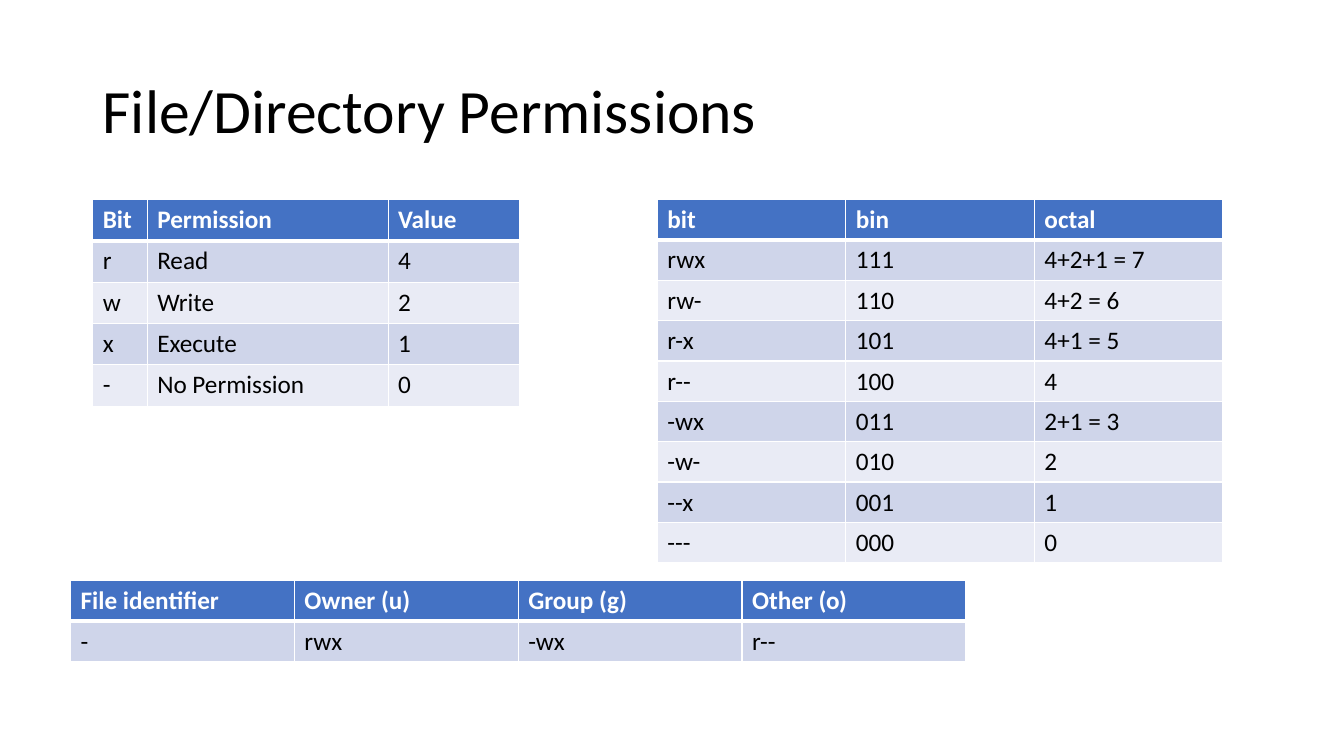
from lxml import etree
from pptx import Presentation
from pptx import util as u
from pptx.dml.color import RGBColor
from pptx.enum import text
from pptx.oxml import ns

BLACK = RGBColor(0x00, 0x00, 0x00)
WHITE = RGBColor(0xFF, 0xFF, 0xFF)
BLUE = RGBColor(0x44, 0x72, 0xC4)
BAND_DARK = RGBColor(0xCF, 0xD5, 0xEA)
BAND_LIGHT = RGBColor(0xE9, 0xEB, 0xF5)

BITS = [
    ("Bit", "Permission", "Value"),
    ("r", "Read", "4"),
    ("w", "Write", "2"),
    ("x", "Execute", "1"),
    ("-", "No Permission", "0"),
]
MODES = [
    ("bit", "bin", "octal"),
    ("rwx", "111", "4+2+1 = 7"),
    ("rw-", "110", "4+2 = 6"),
    ("r-x", "101", "4+1 = 5"),
    ("r--", "100", "4"),
    ("-wx", "011", "2+1 = 3"),
    ("-w-", "010", "2"),
    ("--x", "001", "1"),
    ("---", "000", "0"),
]
CLASSES = [
    ("File identifier", "Owner (u)", "Group (g)", "Other (o)"),
    ("-", "rwx", "-wx", "r--"),
]


class Deck:
    font = "Calibri"
    title_format = {"size": u.Pt(44), "bold": False}
    header_format = {"size": u.Pt(18), "bold": True}
    body_format = {"size": u.Pt(18), "bold": False}

    def __init__(self, width, height):
        self.prs = Presentation()
        self.prs.slide_width = u.Inches(width)
        self.prs.slide_height = u.Inches(height)
        self.s = self.prs.slides.add_slide(self.prs.slide_layouts[6])

    def add_words(self, p, words, formats, color):
        r = p.add_run()
        r.text = words
        r.font.name = self.font
        r.font.color.rgb = color
        for name, value in formats.items():
            setattr(r.font, name, value)

    def title(self, words, left, top, width, height):
        sp = self.s.shapes.add_textbox(*map(u.Inches, (left, top, width, height)))
        tf = sp.text_frame
        tf.word_wrap = True
        tf.vertical_anchor = text.MSO_ANCHOR.MIDDLE
        p = tf.paragraphs[0]
        p.line_spacing = 0.9
        self.add_words(p, words, self.title_format, BLACK)

    def borders(self, cell, widths):
        tc_pr = cell._tc.get_or_add_tcPr()
        for side, width in widths.items():
            ln = etree.SubElement(tc_pr, ns.qn(f"a:ln{side}"), w=str(u.Pt(width)))
            fill = etree.SubElement(ln, ns.qn("a:solidFill"))
            etree.SubElement(fill, ns.qn("a:srgbClr"), val=str(WHITE))

    def table(self, rows, left, top, widths, row_height):
        size = (left, top, sum(widths), row_height * len(rows))
        sp = self.s.shapes.add_table(len(rows), len(widths), *map(u.Inches, size))
        for column, width in zip(sp.table.columns, widths):
            column.width = u.Inches(width)
        for i, row in enumerate(rows):
            sp.table.rows[i].height = u.Inches(row_height)
            if i == 0:
                fill, color, formats = BLUE, WHITE, self.header_format
            else:
                fill = BAND_DARK if i % 2 else BAND_LIGHT
                color, formats = BLACK, self.body_format
            for j, words in enumerate(row):
                cell = sp.table.cell(i, j)
                self.borders(cell, {"L": 1, "R": 1, "T": 3 if i == 1 else 1, "B": 3 if i == 0 else 1})
                cell.fill.solid()
                cell.fill.fore_color.rgb = fill
                self.add_words(cell.text_frame.paragraphs[0], words, formats, color)


def main():
    deck = Deck(13.33, 7.5)
    deck.title("File/Directory Permissions", 0.92, 0.4, 11.5, 1.45)
    deck.table(BITS, 0.92, 1.98, [0.54, 2.39, 1.3], 0.41)
    deck.table(MODES, 6.52, 1.98, [1.87] * 3, 0.4)
    deck.table(CLASSES, 0.7, 5.76, [2.22] * 4, 0.4)
    deck.prs.save("out.pptx")


if __name__ == "__main__":
    main()
